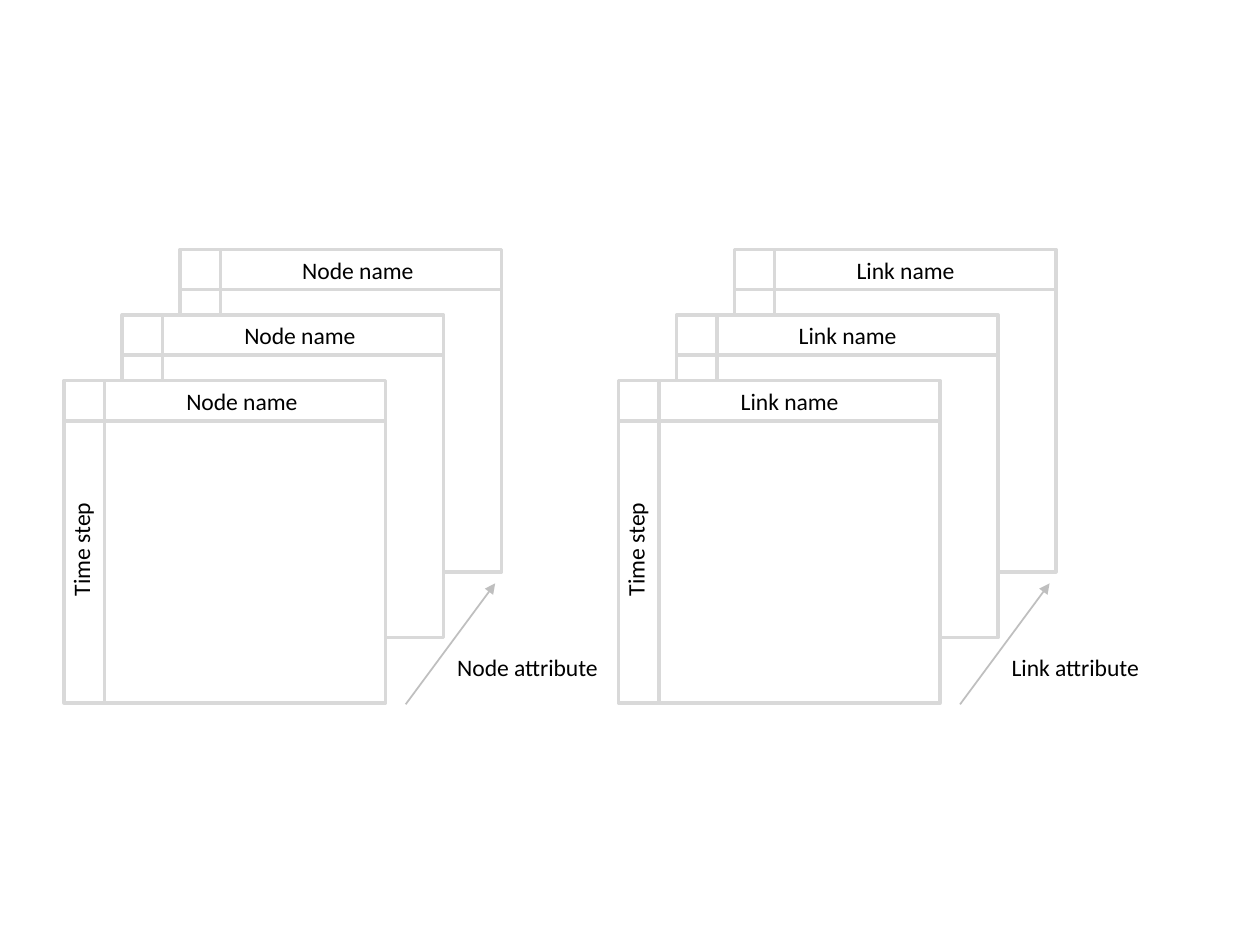
from dataclasses import dataclass

from lxml import etree
from pptx import Presentation
from pptx import util as u
from pptx.dml.color import RGBColor
from pptx.enum import shapes, text
from pptx.oxml import ns


@dataclass(frozen=True)
class Theme:
    font: str = "Calibri"
    label_size: float = 13.5
    ink: str = "000000"
    sheet_fill: str = "FFFFFF"
    sheet_line: str = "D9D9D9"
    arrow_line: str = "BFBFBF"
    sheet_width: float = 2
    arrow_width: float = 1


class Diagram:
    def __init__(self, slide, theme):
        self.slide = slide
        self.theme = theme

    def sheet(self, left, top, width, height):
        sheet = self.slide.shapes.add_shape(
            shapes.MSO_SHAPE.FLOWCHART_INTERNAL_STORAGE,
            *map(u.Inches, (left, top, width, height)))
        sheet.shadow.inherit = False
        sheet.fill.solid()
        sheet.fill.fore_color.rgb = RGBColor.from_string(self.theme.sheet_fill)
        sheet.line.color.rgb = RGBColor.from_string(self.theme.sheet_line)
        sheet.line.width = u.Pt(self.theme.sheet_width)

    def label(self, wording, left, top, width, height, upward=False):
        label = self.slide.shapes.add_textbox(
            *map(u.Inches, (left, top, width, height)))
        frame = label.text_frame
        frame.text = wording
        frame.word_wrap = False
        frame.auto_size = text.MSO_AUTO_SIZE.SHAPE_TO_FIT_TEXT
        if upward:
            label.element.txBody.find(ns.qn("a:bodyPr")).set("vert", "vert270")
        font = frame.paragraphs[0].runs[0].font
        font.name = self.theme.font
        font.size = u.Pt(self.theme.label_size)
        font.color.rgb = RGBColor.from_string(self.theme.ink)

    def arrow(self, *ends):
        arrow = self.slide.shapes.add_connector(
            shapes.MSO_CONNECTOR.STRAIGHT, *map(u.Inches, ends))
        arrow.line.color.rgb = RGBColor.from_string(self.theme.arrow_line)
        arrow.line.width = u.Pt(self.theme.arrow_width)
        outline = arrow.line._get_or_add_ln()
        etree.SubElement(outline, ns.qn("a:tailEnd"), type="triangle")
        etree.SubElement(arrow.element.spPr, ns.qn("a:effectLst"))

    def stack(self, subject, left, name_width, attribute_width):
        for depth in reversed(range(SHEETS)):
            x, y = left + depth * STEP_X, FRONT_TOP - depth * STEP_Y
            self.sheet(x, y, SHEET_WIDTH, SHEET_HEIGHT)
            self.label(f"{subject} name", x + 0.87, y, name_width, LABEL_HEIGHT)
        self.label("Time step", left - 0.03, 3.98, 0.43, 0.85, upward=True)
        self.arrow(left + 2.71, 5.59, left + 3.42, 4.63)
        self.label(f"{subject} attribute", left + 3.02, 5.13,
                   attribute_width, LABEL_HEIGHT)


SHEETS = 3
STEP_X, STEP_Y = 0.46, 0.52
FRONT_TOP = 3.02
SHEET_WIDTH, SHEET_HEIGHT = 2.55, 2.56
LABEL_HEIGHT = 0.33
STACKS = [("Node", 0.51, 1.12, 1.35), ("Link", 4.91, 1.01, 1.25)]

deck = Presentation()
deck.slide_width, deck.slide_height = u.Inches(10), u.Inches(7.5)
diagram = Diagram(deck.slides.add_slide(deck.slide_layouts[6]), Theme())
for stack in STACKS:
    diagram.stack(*stack)
deck.save("out.pptx")
